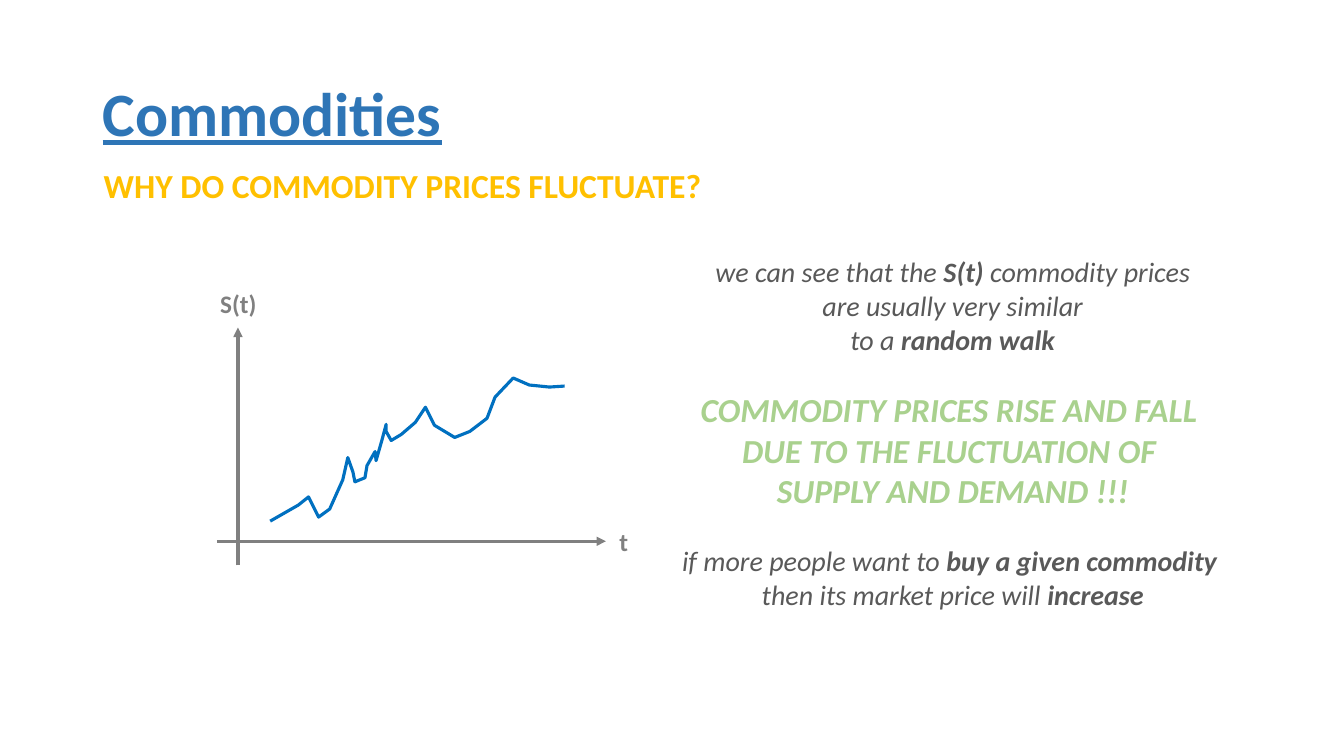
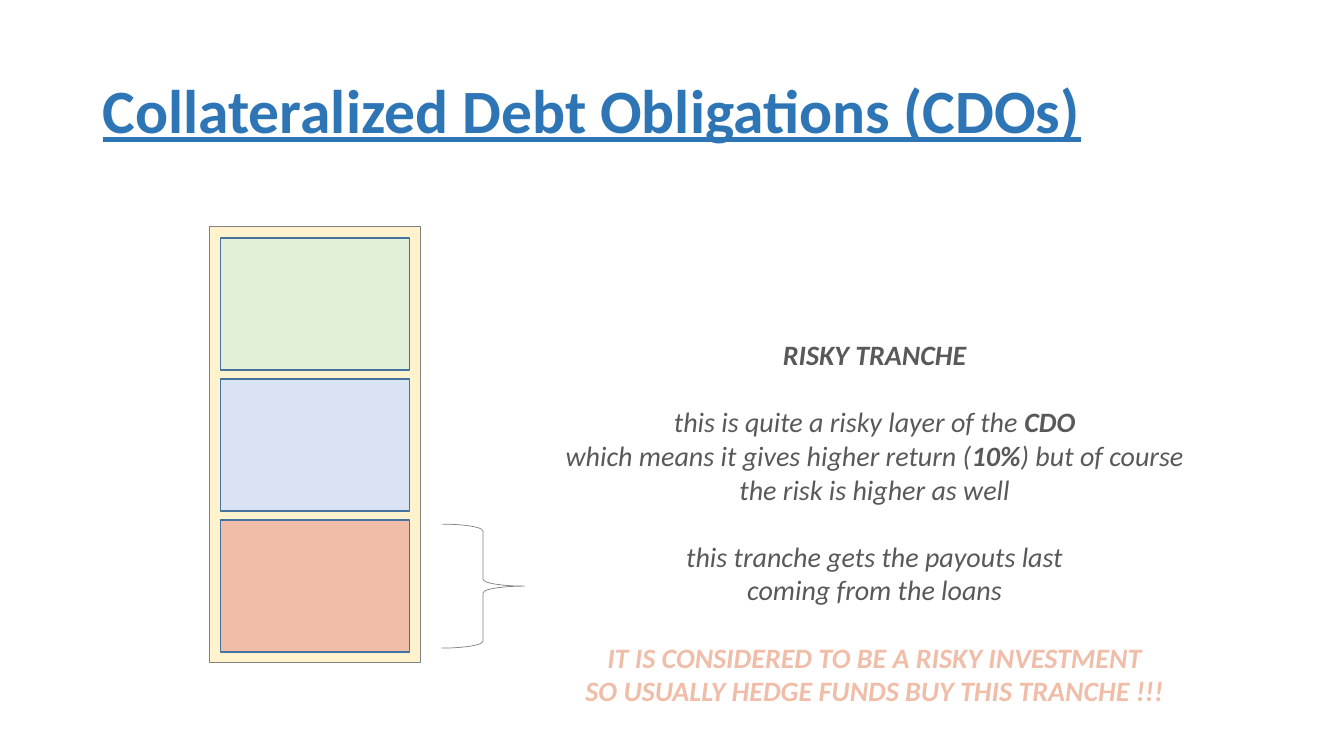
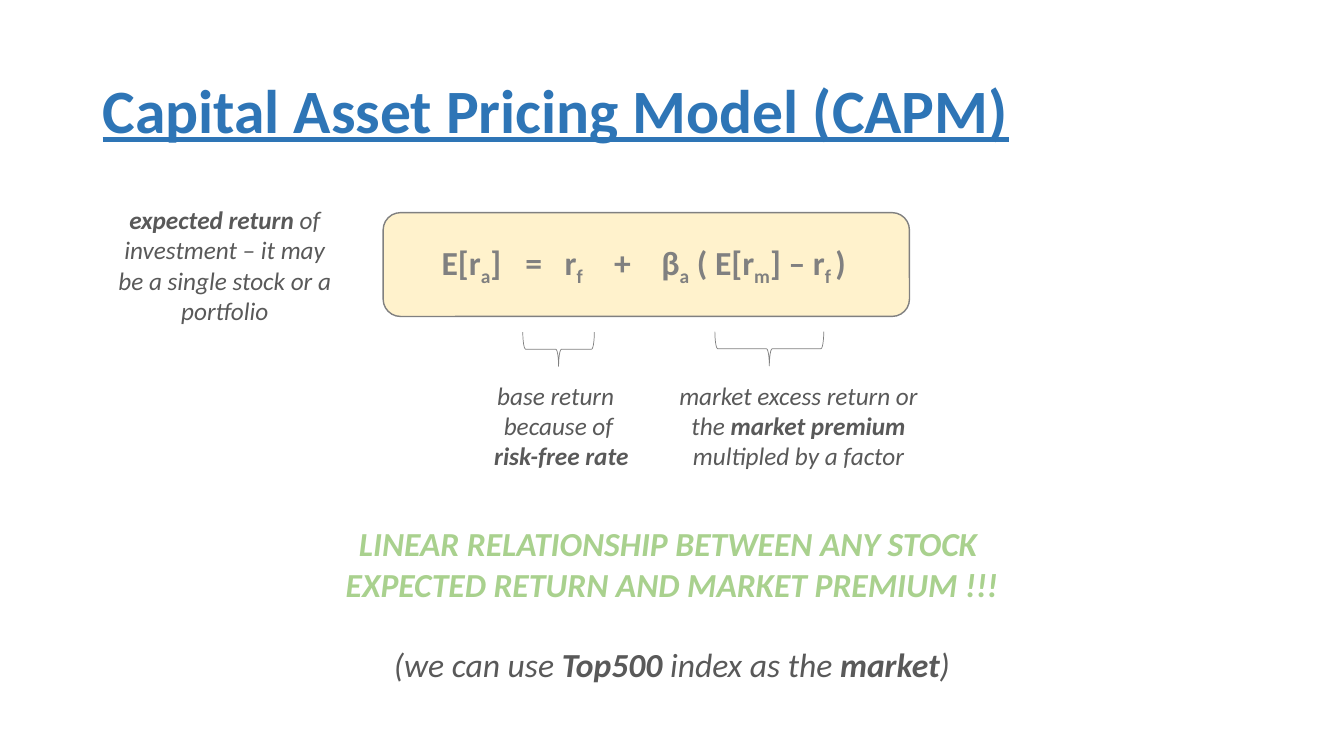
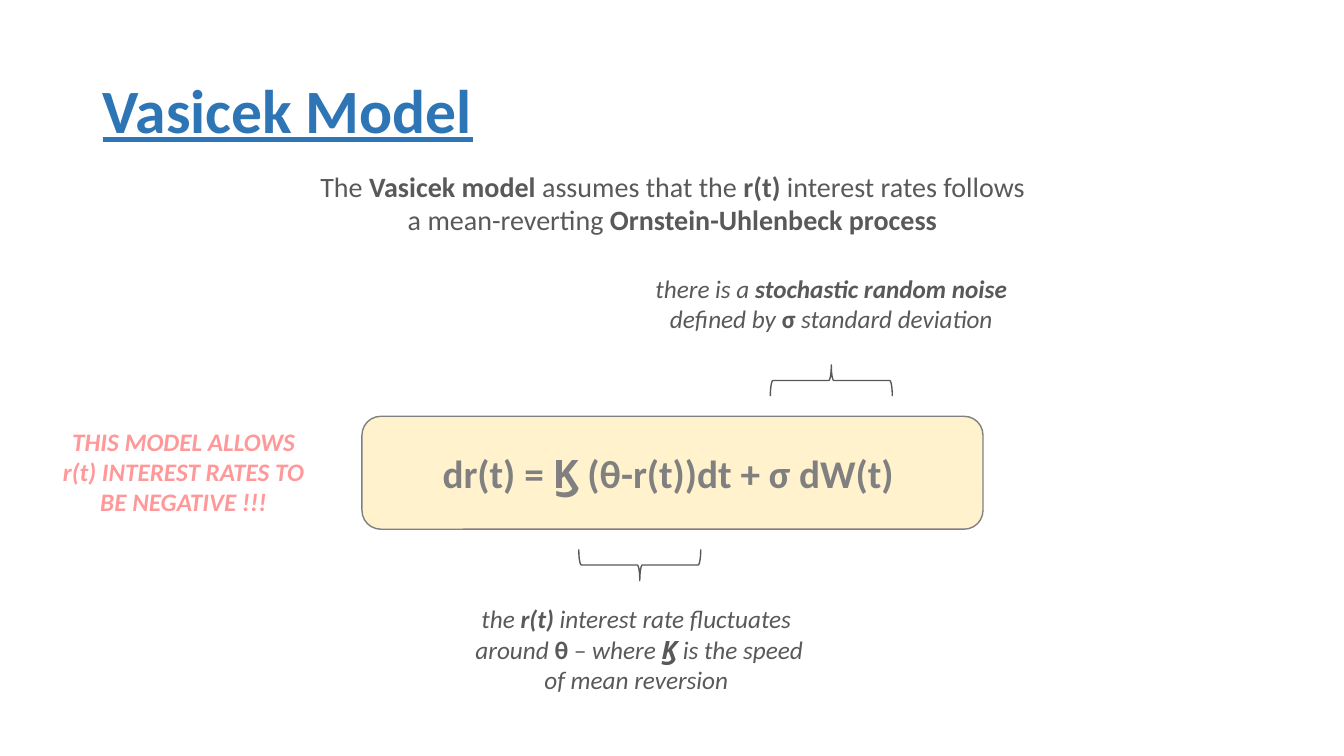
from dataclasses import dataclass
from itertools import cycle

from lxml import etree
from pptx import Presentation
from pptx.dml.color import RGBColor
from pptx.enum import shapes, text
from pptx.oxml import ns
from pptx.util import Inches, Pt


@dataclass(frozen=True)
class Theme:
    font: str = "Calibri"
    title: str = "2E75B6"
    heading: str = "FFC000"
    body: str = "595959"
    muted: str = "808080"
    curve: str = "0070C0"
    good: str = "A9D18E"
    risky: str = "F0BDA8"
    warning: str = "FF9999"
    cream: str = "FFF2CC"
    green: str = "E2F0D9"
    blue: str = "DAE3F3"
    tranche_edge: str = "43739E"
    title_size: int = 44
    formula_size: int = 28
    large: int = 24
    medium: int = 20
    small: int = 18


THEME = Theme()
CENTER = text.PP_ALIGN.CENTER
SHAPE = shapes.MSO_SHAPE

PRICE_POINTS = [
    (2.68, 5.17), (2.96, 5.01), (3.06, 4.93), (3.16, 5.13), (3.27, 5.05), (3.4, 4.76),
    (3.45, 4.54), (3.5, 4.68), (3.52, 4.78), (3.62, 4.74), (3.64, 4.62), (3.72, 4.48),
    (3.73, 4.57), (3.79, 4.36), (3.83, 4.21), (3.83, 4.28), (3.88, 4.37), (3.98, 4.31),
    (4.12, 4.19), (4.22, 4.04), (4.31, 4.22), (4.51, 4.34), (4.66, 4.28), (4.83, 4.15),
    (4.91, 3.94), (5.09, 3.75), (5.25, 3.82), (5.45, 3.84), (5.6, 3.83),
]


@dataclass
class Line:
    """A paragraph: *bold*, *~upright bold* and _subscript_ are marked in its content."""
    content: str
    size: int = THEME.small
    color: str = THEME.body
    italic: bool = True
    bold: bool = False
    gap: int = 0


def rgb(color):
    return RGBColor.from_string(color)


def inches(*lengths):
    return [Inches(length) for length in lengths]


def marked(content, mark):
    """Pair each piece between marks with whether it is marked."""
    return zip(content.split(mark), cycle([False, True]))


def add_run(paragraph, content, line, bold, subscript):
    run = paragraph.add_run()
    run.text = content.lstrip("~")
    font = run.font
    font.name, font.size = THEME.font, Pt(line.size)
    font.color.rgb = rgb(line.color)
    font.bold = bold or line.bold
    font.italic = line.italic and not content.startswith("~")
    if subscript:
        font._element.set("baseline", "-25000")
    return run


def write(frame, lines, align=CENTER):
    for index, line in enumerate(lines):
        paragraph = frame.add_paragraph() if index else frame.paragraphs[0]
        paragraph.alignment = align
        if line.gap:
            paragraph.space_before = Pt(line.gap)
        for piece, bold in marked(line.content, "*"):
            for part, subscript in marked(piece, "_"):
                if part:
                    add_run(paragraph, part, line, bold, subscript)


def add_text(slide, box, lines, wrap=False, align=CENTER):
    frame = slide.shapes.add_textbox(*inches(*box)).text_frame
    frame.word_wrap = wrap
    frame.auto_size = text.MSO_AUTO_SIZE.SHAPE_TO_FIT_TEXT
    write(frame, lines, align)


def add_titled_slide(presentation, title, top=0.4):
    slide = presentation.slides.add_slide(presentation.slide_layouts[6])
    frame = slide.shapes.add_textbox(*inches(0.92, top, 11.5, 1.45)).text_frame
    frame.word_wrap = True
    frame.vertical_anchor = text.MSO_ANCHOR.MIDDLE
    write(frame, [Line(title, THEME.title_size, THEME.title, italic=False, bold=True)],
          text.PP_ALIGN.LEFT)
    paragraph = frame.paragraphs[0]
    paragraph.line_spacing = 0.9
    paragraph.runs[0].font.underline = True
    return slide


def add_shape(slide, kind, box, fill=None, edge=THEME.muted, width=1):
    shape = slide.shapes.add_shape(kind, *inches(*box))
    shape.shadow.inherit = False
    if fill:
        shape.fill.solid()
        shape.fill.fore_color.rgb = rgb(fill)
    else:
        shape.fill.background()
    shape.line.color.rgb = rgb(edge)
    shape.line.width = Pt(width)
    return shape


def add_brace(slide, box, rotation=0, color=THEME.muted, width=0.5):
    add_shape(slide, SHAPE.RIGHT_BRACE, box, None, color, width).rotation = rotation


def add_formula(slide, box, content, size, align=CENTER):
    shape = add_shape(slide, SHAPE.ROUNDED_RECTANGLE, box, THEME.cream)
    frame = shape.text_frame
    frame.vertical_anchor = text.MSO_ANCHOR.MIDDLE
    write(frame, [Line(content, size, THEME.muted, italic=False, bold=True)], align)
    return frame


def set_tabs(paragraph, positions):
    tabs = etree.SubElement(paragraph._p.get_or_add_pPr(), ns.qn("a:tabLst"))
    for position in positions:
        etree.SubElement(tabs, ns.qn("a:tab"), pos=str(Inches(position)), algn="l")


def add_axis(slide, start, end):
    axis = slide.shapes.add_connector(shapes.MSO_CONNECTOR.STRAIGHT, *inches(*start, *end))
    axis.line.color.rgb = rgb(THEME.muted)
    axis.line.width = Pt(2.25)
    etree.SubElement(axis.line._get_or_add_ln(), ns.qn("a:tailEnd"), type="triangle")
    etree.SubElement(axis._element.spPr, ns.qn("a:effectLst"))


def add_curve(slide, points):
    start, *rest = [inches(*point) for point in points]
    builder = slide.shapes.build_freeform(*start)
    builder.add_line_segments(rest, close=False)
    curve = builder.convert_to_shape()
    curve.shadow.inherit = False
    curve.fill.background()
    curve.line.color.rgb = rgb(THEME.curve)
    curve.line.width = Pt(2.25)


def commodities(presentation):
    slide = add_titled_slide(presentation, "Commodities", top=0.43)
    add_text(slide, (0.93, 1.59, 6.2, 0.5),
             [Line("WHY DO COMMODITY PRICES FLUCTUATE?", THEME.large, THEME.heading,
                   italic=False, bold=True)], align=text.PP_ALIGN.LEFT)
    add_axis(slide, (2.36, 5.61), (2.36, 3.25))
    add_axis(slide, (2.15, 5.37), (6.01, 5.37))
    for label, box in (("S(t)", (2.08, 2.81, 0.57, 0.4)), ("t", (6.04, 5.17, 0.29, 0.4))):
        add_text(slide, box, [Line(label, color=THEME.muted, italic=False, bold=True)])
    add_curve(slide, PRICE_POINTS)
    message = dict(size=THEME.large, color=THEME.good, bold=True)
    add_text(slide, (6.65, 2.48, 5.6, 3.7), [
        Line("we can see that the *S(t)* commodity prices", THEME.medium),
        Line("are usually very similar", THEME.medium),
        Line("to a *random walk*", THEME.medium),
        Line("COMMODITY PRICES RISE AND FALL ", gap=24, **message),
        Line("DUE TO THE FLUCTUATION OF ", **message),
        Line("SUPPLY AND DEMAND !!!", **message),
        Line("if more people want to *buy a given commodity *", THEME.medium, gap=24),
        Line("then its market price will *increase*", THEME.medium),
    ])


def debt_obligations(presentation):
    slide = add_titled_slide(presentation, "Collateralized Debt Obligations (CDOs)")
    add_shape(slide, SHAPE.RECTANGLE, (2.08, 2.25, 2.09, 4.32), THEME.cream)
    for index, fill in enumerate((THEME.green, THEME.blue, THEME.risky)):
        add_shape(slide, SHAPE.RECTANGLE, (2.19, 2.36 + 1.4 * index, 1.87, 1.31),
                  fill, THEME.tranche_edge)
    add_brace(slide, (4.38, 5.2, 0.82, 1.23))
    message = dict(size=THEME.medium, color=THEME.risky, bold=True)
    add_text(slide, (5.49, 3.3, 6.37, 3.8), [
        Line("RISKY TRANCHE", THEME.medium, bold=True),
        Line("this is quite a risky layer of the *CDO*", THEME.medium, gap=24),
        Line("which means it gives higher return (*10%*) but of course", THEME.medium),
        Line("the risk is higher as well", THEME.medium),
        Line("this tranche gets the payouts last", THEME.medium, gap=24),
        Line("coming from the loans", THEME.medium),
        Line("IT IS CONSIDERED TO BE A RISKY INVESTMENT", gap=24, **message),
        Line("SO USUALLY HEDGE FUNDS BUY THIS TRANCHE !!!", **message),
    ])


def pricing_model(presentation):
    slide = add_titled_slide(presentation, "Capital Asset Pricing Model (CAPM)")
    add_text(slide, (1.05, 1.98, 2.36, 1.31), [
        Line("*expected return *of investment – it may be a single stock or a portfolio"),
    ], wrap=True)
    add_text(slide, (4.36, 3.72, 2.36, 1.01), [
        Line("base return "), Line("because of"), Line(" *risk-free rate*"),
    ], wrap=True)
    add_text(slide, (6.51, 3.72, 2.82, 1.01), [
        Line("market excess return or the *market premium *multipled by a factor"),
    ], wrap=True)
    message = dict(size=THEME.large, color=THEME.good, bold=True)
    add_text(slide, (1.13, 5.14, 11.07, 1.72), [
        Line("LINEAR RELATIONSHIP BETWEEN ANY STOCK ", **message),
        Line("EXPECTED RETURN AND MARKET PREMIUM !!!", **message),
        Line("(we can use *Top500 *index as the *market*)", THEME.large, gap=29),
    ], wrap=True)
    frame = add_formula(slide, (3.8, 2.11, 5.22, 1.03),
                        "E[r_a_]\t=\tr_f_\t+\tβ_a_ ( E[r_m_] – r_f _)",
                        THEME.large, text.PP_ALIGN.LEFT)
    frame.margin_left = Inches(0.53)
    set_tabs(frame.paragraphs[0], (0.83, 1.22, 1.71, 2.18))
    add_brace(slide, (5.37, 3.11, 0.34, 0.71), 90)
    add_brace(slide, (7.46, 2.92, 0.34, 1.08), 90)


def vasicek_model(presentation):
    slide = add_titled_slide(presentation, "Vasicek Model")
    add_formula(slide, (3.59, 4.13, 6.16, 1.12), "dr(t) = Ϗ (θ-r(t))dt + σ dW(t) ",
                THEME.formula_size)
    intro = dict(size=THEME.medium, italic=False)
    add_text(slide, (3.04, 1.63, 7.26, 0.77), [
        Line("The *Vasicek model *assumes that the *r(t)* interest rates follows", **intro),
        Line("a mean-reverting *Ornstein-Uhlenbeck process*", **intro),
    ])
    add_brace(slide, (6.19, 5, 0.31, 1.21), 90, THEME.body, 1)
    add_brace(slide, (8.09, 3.17, 0.31, 1.21), 270, THEME.body, 1)
    add_text(slide, (4.6, 5.94, 3.48, 1.01), [
        Line("the *r(t)* interest rate fluctuates "),
        Line("around *~θ* – where *Ϗ *is the speed"),
        Line("of mean reversion "),
    ])
    add_text(slide, (6.39, 2.66, 3.71, 0.71), [
        Line("there is a *stochastic random noise*"),
        Line("defined by *~σ* standard deviation"),
    ])
    warning = ("THIS MODEL ALLOWS", "r(t) INTEREST RATES TO", "BE NEGATIVE !!!")
    add_text(slide, (0.51, 4.18, 2.62, 1.01),
             [Line(content, color=THEME.warning, bold=True) for content in warning])


def main():
    presentation = Presentation()
    presentation.slide_width, presentation.slide_height = inches(13.33, 7.5)
    for build in (commodities, debt_obligations, pricing_model, vasicek_model):
        build(presentation)
    presentation.save("out.pptx")


if __name__ == "__main__":
    main()
